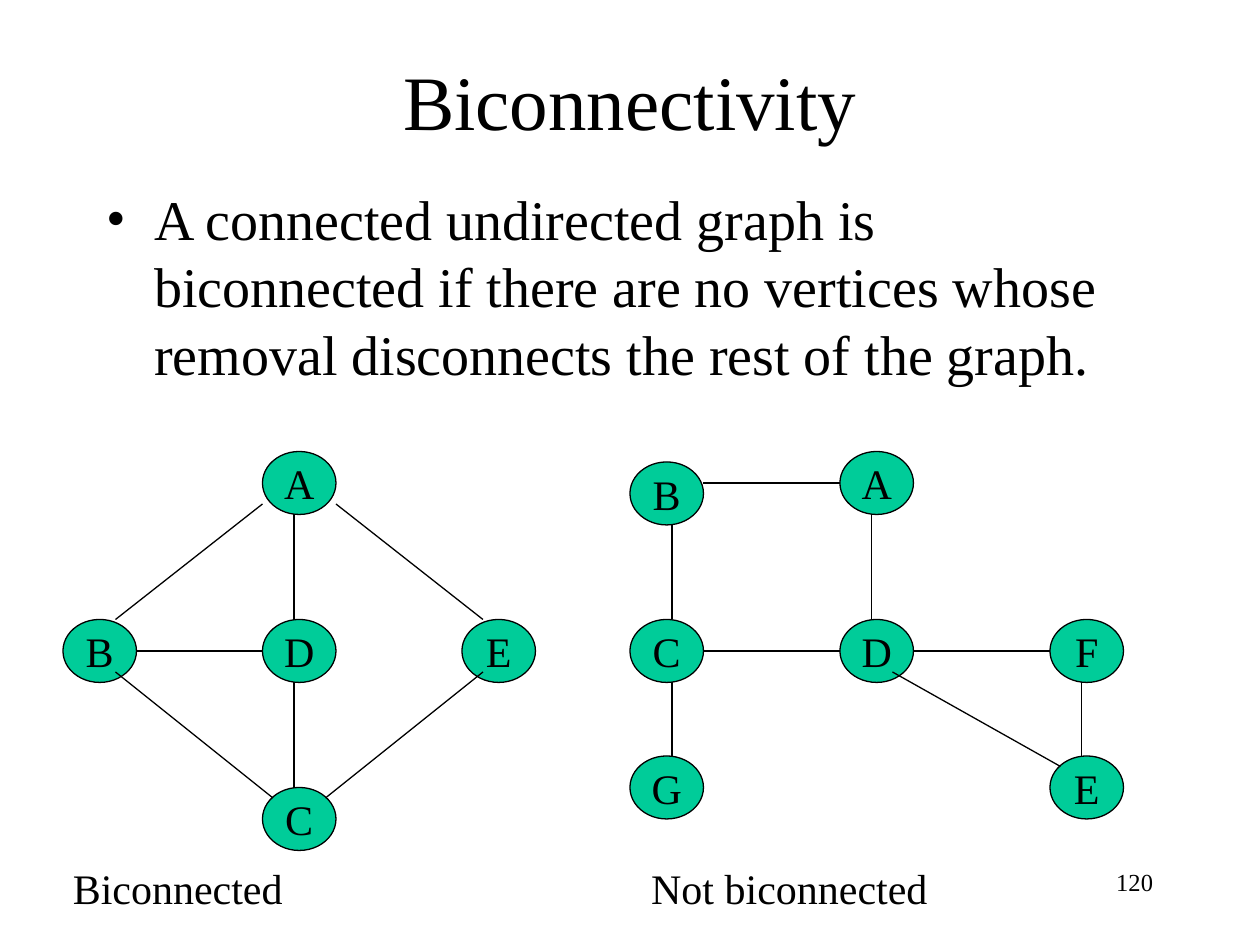
from dataclasses import dataclass

import pptx
import pptx.dml.color
import pptx.enum.shapes
import pptx.enum.text
import pptx.oxml
import pptx.oxml.ns
import pptx.util
from pptx.shapes.autoshape import Shape
from pptx.slide import Slide
from pptx.text.text import TextFrame

Pt = pptx.util.Pt
Align = pptx.enum.text.PP_ALIGN
Anchor = pptx.enum.text.MSO_ANCHOR

BLACK = pptx.dml.color.RGBColor(0x00, 0x00, 0x00)
WHITE = pptx.dml.color.RGBColor(0xFF, 0xFF, 0xFF)
GREEN = pptx.dml.color.RGBColor(0x00, 0xCC, 0x99)
FONT = "Times New Roman"
NAMESPACE = pptx.oxml.ns.nsdecls("a")
VERTEX_WIDTH, VERTEX_HEIGHT = 42, 36
LINE_WIDTH = 0.75


@dataclass(frozen=True)
class Vertex:
    label: str
    left: float
    top: float


@dataclass(frozen=True)
class Edge:
    x1: float
    y1: float
    x2: float
    y2: float


@dataclass(frozen=True)
class Caption:
    text: str
    left: float
    width: float


@dataclass(frozen=True)
class Graph:
    vertices: tuple[Vertex, ...]
    edges: tuple[Edge, ...]
    caption: Caption


BICONNECTED = Graph(
    vertices=(
        Vertex("A", 150, 258),
        Vertex("B", 36, 354),
        Vertex("D", 150, 354),
        Vertex("E", 264, 354),
        Vertex("C", 150, 450),
    ),
    edges=(
        Edge(168, 294, 168, 354),
        Edge(168, 390, 168, 450),
        Edge(78, 372, 150, 372),
        Edge(66, 354, 150, 288),
        Edge(66, 384, 156, 456),
        Edge(276, 354, 192, 288),
        Edge(276, 384, 186, 456),
    ),
    caption=Caption("Biconnected", 34.5, 135),
)

NOT_BICONNECTED = Graph(
    vertices=(
        Vertex("A", 480, 258),
        Vertex("B", 360, 264),
        Vertex("C", 360, 354),
        Vertex("D", 480, 354),
        Vertex("F", 600, 354),
        Vertex("G", 360, 432),
        Vertex("E", 600, 432),
    ),
    edges=(
        Edge(402, 276, 480, 276),
        Edge(384, 300, 384, 354),
        Edge(498, 294, 498, 354),
        Edge(402, 372, 480, 372),
        Edge(600, 372, 522, 372),
        Edge(384, 390, 384, 432),
        Edge(618, 390, 618, 432),
        Edge(510, 384, 606, 438),
    ),
    caption=Caption("Not biconnected", 365, 173),
)


def write(frame: TextFrame, text: str, size: float, align: Align) -> None:
    frame.text = text
    paragraph = frame.paragraphs[0]
    paragraph.alignment = align
    font = paragraph.runs[0].font
    font.name = FONT
    font.size = Pt(size)
    font.color.rgb = BLACK


def add_text(slide: Slide, text: str, left: float, top: float, width: float,
             height: float, size: float, align: Align = Align.LEFT) -> Shape:
    box = slide.shapes.add_textbox(Pt(left), Pt(top), Pt(width), Pt(height))
    box.text_frame.word_wrap = True
    write(box.text_frame, text, size, align)
    return box


def add_title(slide: Slide, text: str) -> None:
    title = slide.shapes.title
    title.left, title.top = Pt(54), Pt(18)
    title.width, title.height = Pt(612), Pt(78)
    title.text_frame.vertical_anchor = Anchor.MIDDLE
    write(title.text_frame, text, 44, Align.CENTER)


def add_definition(slide: Slide, text: str) -> None:
    definition = add_text(slide, text, 54, 102, 612, 138, 32)
    properties = definition.text_frame.paragraphs[0]._p.get_or_add_pPr()
    properties.set("marL", str(Pt(27)))
    properties.set("indent", str(Pt(-27)))
    for bullet_part in (f'<a:buFont {NAMESPACE} typeface="{FONT}"/>',
                        f'<a:buChar {NAMESPACE} char="•"/>'):
        properties.append(pptx.oxml.parse_xml(bullet_part))


def add_caption(slide: Slide, caption: Caption) -> None:
    box = add_text(slide, caption.text, caption.left, 489.6, caption.width, 36,
                   24)
    box.text_frame.word_wrap = False
    box.text_frame.auto_size = pptx.enum.text.MSO_AUTO_SIZE.SHAPE_TO_FIT_TEXT


def add_vertex(slide: Slide, vertex: Vertex) -> None:
    oval = slide.shapes.add_shape(
        pptx.enum.shapes.MSO_SHAPE.OVAL, Pt(vertex.left), Pt(vertex.top),
        Pt(VERTEX_WIDTH), Pt(VERTEX_HEIGHT))
    oval.shadow.inherit = False
    oval.fill.solid()
    oval.fill.fore_color.rgb = GREEN
    oval.line.color.rgb = BLACK
    oval.line.width = Pt(LINE_WIDTH)
    oval.text_frame.word_wrap = False
    oval.text_frame.vertical_anchor = Anchor.MIDDLE
    write(oval.text_frame, vertex.label, 24, Align.CENTER)


def add_edge(slide: Slide, edge: Edge) -> None:
    line = slide.shapes.add_connector(
        pptx.enum.shapes.MSO_CONNECTOR.STRAIGHT,
        Pt(edge.x1), Pt(edge.y1), Pt(edge.x2), Pt(edge.y2))
    line.line.color.rgb = BLACK
    line.line.width = Pt(LINE_WIDTH)
    line._element.spPr.append(
        pptx.oxml.parse_xml(f"<a:effectLst {NAMESPACE}/>"))


def add_graph(slide: Slide, graph: Graph) -> None:
    for vertex in graph.vertices:
        add_vertex(slide, vertex)
    for edge in graph.edges:
        add_edge(slide, edge)
    add_caption(slide, graph.caption)


def main() -> None:
    presentation = pptx.Presentation()
    presentation.slide_width, presentation.slide_height = Pt(720), Pt(540)
    slide = presentation.slides.add_slide(presentation.slide_layouts[5])
    slide.background.fill.solid()
    slide.background.fill.fore_color.rgb = WHITE

    add_title(slide, "Biconnectivity")
    add_definition(slide, "A connected undirected graph is biconnected if there "
                          "are no vertices whose removal disconnects the rest "
                          "of the graph.")
    for graph in (BICONNECTED, NOT_BICONNECTED):
        add_graph(slide, graph)
    add_text(slide, "120", 516, 492, 150, 36, 14, Align.RIGHT)

    presentation.save("out.pptx")


if __name__ == "__main__":
    main()
